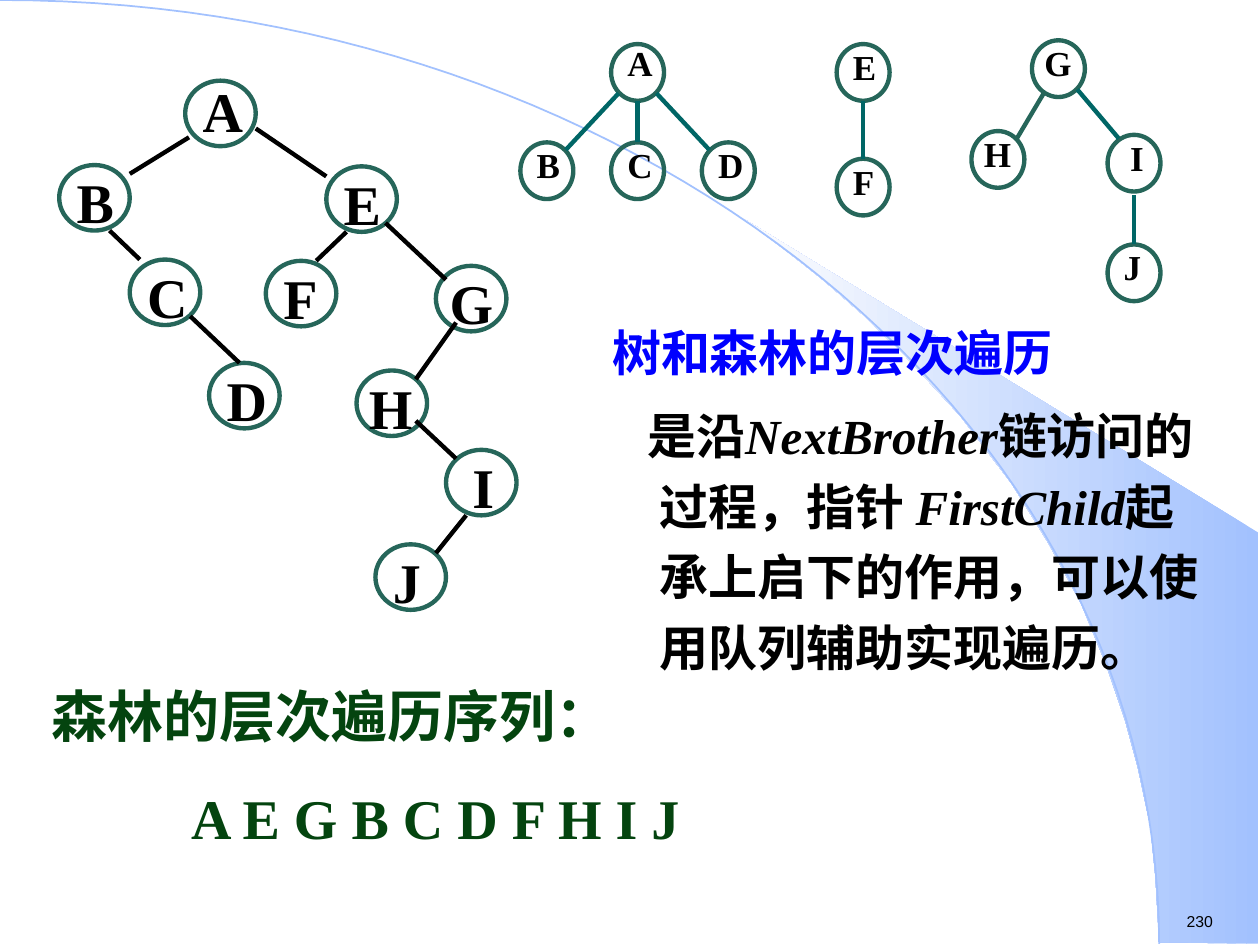
from dataclasses import dataclass

from lxml import etree
from pptx import Presentation
from pptx.dml.color import RGBColor
from pptx.enum.shapes import MSO_CONNECTOR, MSO_SHAPE
from pptx.oxml.ns import qn
from pptx.util import Inches, Pt

OVAL = MSO_SHAPE.OVAL
STRAIGHT = MSO_CONNECTOR.STRAIGHT
SERIF = "Times New Roman"
SANS = "Arial"
COLORS = {
    "black": "000000", "heading": "0000FF", "sequence": "04440F",
    "node": "26665A", "teal": "006666", "band": "A2C1FE", "pale": "FEFEFE",
}


@dataclass
class TreeStyle:
    width: float
    height: float
    size: int
    edge: str
    label_right: float
    label_up: float


BINARY = TreeStyle(0.56, 0.52, 32, "black", 0.04, 0.08)
FOREST = TreeStyle(0.42, 0.45, 20, "teal", 0.03, 0.07)

BINARY_NODES = {
    "A": (1, 0), "B": (0, 0.67), "C": (0.56, 1.42), "D": (1.19, 2.24),
    "E": (2.12, 0.68), "F": (1.64, 1.43), "G": (2.99, 1.47),
    "H": (2.36, 2.3), "I": (3.07, 2.93), "J": (2.51, 3.68),
}
BINARY_EDGES = {
    "AB": (1.03, 0.45, 0.56, 0.74), "AE": (1.56, 0.38, 2.12, 0.76),
    "BC": (0.4, 1.19, 0.64, 1.42), "CD": (1.04, 1.87, 1.43, 2.24),
    "EF": (2.28, 1.2, 2.04, 1.43), "EG": (2.59, 1.13, 3.07, 1.58),
    "GH": (3.15, 1.92, 2.83, 2.37), "HI": (2.83, 2.7, 3.15, 3),
    "IJ": (3.23, 3.45, 2.99, 3.75),
}
BINARY_SHIFTS = {"G": 0.01, "H": 0, "I": 0.11}

FOREST_NODES = {
    "A": (0.72, 0.03), "B": (0, 0.81), "C": (0.72, 0.81), "D": (1.44, 0.81),
    "E": (2.51, 0.03), "F": (2.51, 0.94), "G": (4.06, 0),
    "H": (3.58, 0.72), "I": (4.66, 0.75), "J": (4.66, 1.62),
}
FOREST_EDGES = {
    "AB": (0.78, 0.42, 0.36, 0.87), "AC": (0.93, 0.48, 0.93, 0.81),
    "AD": (1.08, 0.42, 1.5, 0.87), "EF": (2.72, 0.48, 2.72, 0.94),
    "GH": (4.16, 0.41, 3.94, 0.78), "GI": (4.42, 0.39, 4.75, 0.78),
    "IJ": (4.87, 1.23, 4.87, 1.62),
}
FOREST_SHIFTS = {"G": 0, "H": 0, "I": 0.08}

BAND_POINTS = [
    (9.2, 7.48), (9.99, 7.49), (9.99, 4.23), (5.89, 1.73), (6.24, 1.99),
    (6.53, 2.22), (6.85, 2.5), (7.16, 2.8), (7.62, 3.3), (8.03, 3.84),
    (8.32, 4.31), (8.58, 4.79), (8.78, 5.28), (8.93, 5.72), (9.03, 6.09),
    (9.13, 6.56), (9.17, 6.96),
]


def color(name):
    return RGBColor.from_string(COLORS[name])


def add_text_box(page, left, top, width, height):
    box = page.shapes.add_textbox(Inches(left), Inches(top), Inches(width), Inches(height))
    box.text_frame.word_wrap = True
    return box.text_frame


def set_font(para, size, shade, face=SERIF, bold=True):
    para.font.name = face
    para.font.size = Pt(size)
    para.font.bold = bold
    para.font.color.rgb = color(shade)


def set_indent(para, margin, first=0):
    properties = para._p.get_or_add_pPr()
    properties.set("marL", str(Inches(margin)))
    properties.set("indent", str(Inches(first)))


def add_outline(page, points, close):
    start, *others = [(Inches(x), Inches(y)) for x, y in points]
    builder = page.shapes.build_freeform(*start)
    builder.add_line_segments(others, close=close)
    shape = builder.convert_to_shape()
    shape.shadow.inherit = False
    return shape


def add_backdrop(page, radius_x, radius_y):
    band = add_outline(page, BAND_POINTS, True)
    band.fill.gradient()
    band.fill.gradient_angle = 180
    for stop, name in zip(band.fill.gradient_stops, ("band", "pale")):
        stop.color.rgb = color(name)
    band.line.fill.background()

    steps = 60
    curve = []
    for step in range(steps + 1):
        t = step / steps
        x = 3 * (1 - t) ** 2 * t * 5.08 + 3 * (1 - t) * t ** 2 * radius_x + t ** 3 * radius_x
        y = 3 * (1 - t) * t ** 2 * 3.35 + t ** 3 * radius_y
        curve.append((x, y))
    arc = add_outline(page, curve, False)
    arc.fill.background()
    arc.line.color.rgb = color("band")
    arc.line.width = Pt(1)


def add_node(page, letter, left, top, style, shift):
    circle = page.shapes.add_shape(
        OVAL, Inches(left), Inches(top), Inches(style.width), Inches(style.height))
    circle.shadow.inherit = False
    circle.fill.background()
    circle.line.color.rgb = color("node")
    circle.line.width = Pt(2.5)
    frame = add_text_box(
        page, left + shift, top - style.label_up, style.width, style.size * 0.0215)
    para = frame.paragraphs[0]
    para.text = letter
    para.line_spacing = 1.0 if letter == "A" else 1.1
    set_font(para, style.size, "black")


def add_edge(page, x1, y1, x2, y2, shade):
    edge = page.shapes.add_connector(STRAIGHT, Inches(x1), Inches(y1), Inches(x2), Inches(y2))
    edge.line.color.rgb = color(shade)
    edge.line.width = Pt(2.5)
    etree.SubElement(edge._element.spPr, qn("a:effectLst"))


def add_tree(page, left, top, nodes, edges, shifts, style, edge_shades):
    for letter, (x, y) in nodes.items():
        add_node(page, letter, left + x, top + y, style, shifts.get(letter, style.label_right))
    for pair, (x1, y1, x2, y2) in edges.items():
        add_edge(page, left + x1, top + y1, left + x2, top + y2,
                 edge_shades.get(pair, style.edge))


def add_explanation(page, left, top, width, height):
    frame = add_text_box(page, left, top, width, height)
    heading = frame.paragraphs[0]
    heading.text = "树和森林的层次遍历"
    heading.line_spacing = 1.2
    set_font(heading, 28, "heading")

    body = frame.add_paragraph()
    body.line_spacing = 1.2
    body.space_before = Pt(7)
    set_indent(body, 0.38, -0.1)
    set_font(body, 28, "black")
    pieces = ("是沿", "NextBrother", "链访问的过程，指针 ", "FirstChild",
              "起承上启下的作用，可以使用队列辅助实现遍历。")
    for piece in pieces:
        span = body.add_run()
        span.text = piece
        span.font.italic = piece.isascii()


def add_sequence(page, left, top, width, height):
    frame = add_text_box(page, left, top, width, height)
    caption = frame.paragraphs[0]
    caption.text = "森林的层次遍历序列："
    order = frame.add_paragraph()
    order.text = "A E G B C D F H I J"
    order.space_before = Pt(20)
    set_indent(order, 1.11)
    for para in (caption, order):
        set_font(para, 32, "sequence")


def add_page_number(page, left, top, width, height):
    para = add_text_box(page, left, top, width, height).paragraphs[0]
    para.text = "230"
    set_font(para, 9, "black", SANS, False)


def main():
    deck = Presentation()
    deck.slide_width, deck.slide_height = Inches(10), Inches(7.5)
    page = deck.slides.add_slide(deck.slide_layouts[6])
    add_backdrop(page, 9.2, 7.49)
    add_page_number(page, 9.32, 7.19, 0.68, 0.25)
    add_explanation(page, 4.76, 2.42, 5, 3.42)
    add_sequence(page, 0.31, 5.36, 7.67, 1.45)
    add_tree(page, 0.47, 0.64, BINARY_NODES, BINARY_EDGES, BINARY_SHIFTS, BINARY, {})
    add_tree(page, 4.13, 0.32, FOREST_NODES, FOREST_EDGES, FOREST_SHIFTS, FOREST,
             {"GH": "node"})
    deck.save("out.pptx")


if __name__ == "__main__":
    main()
